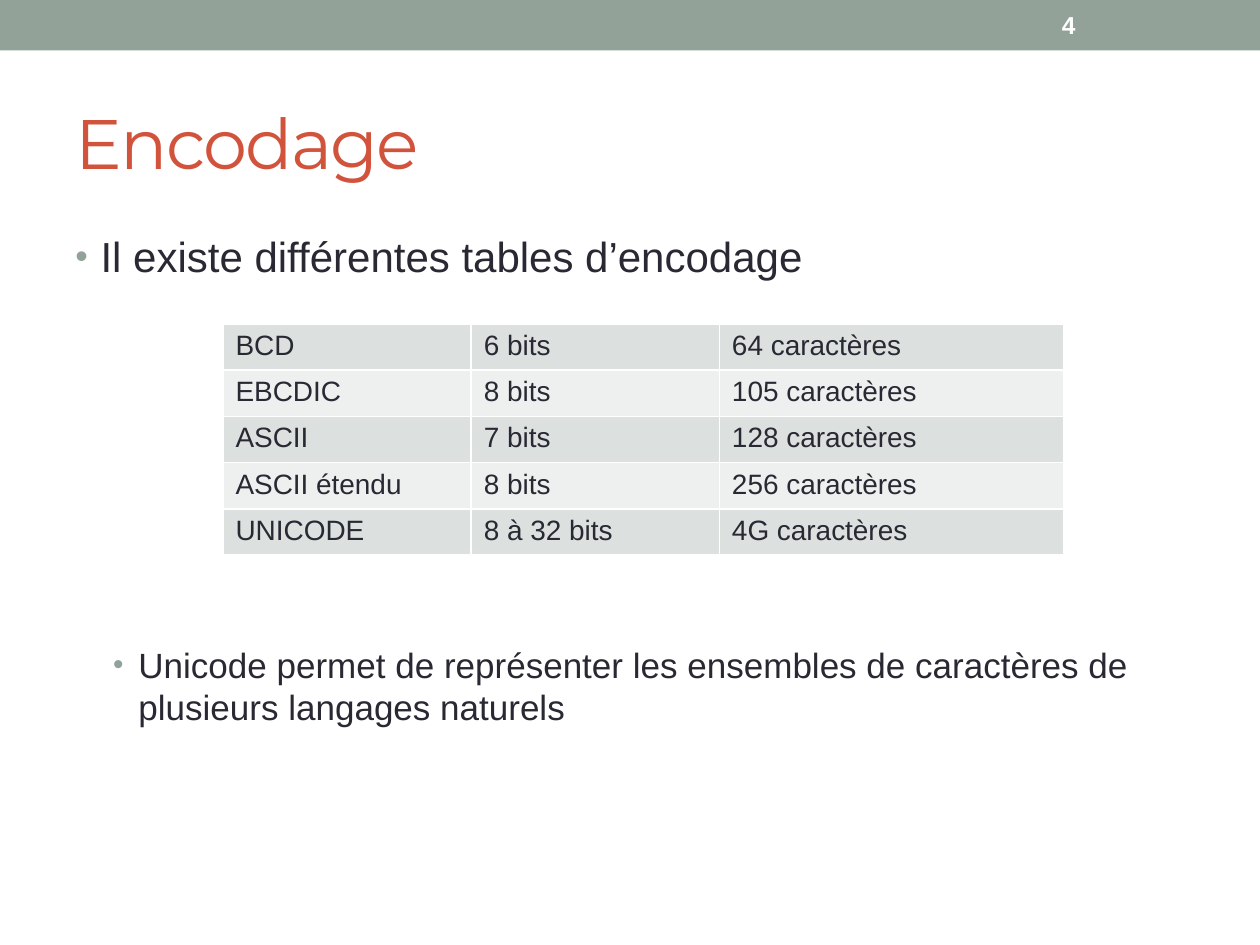
from lxml import etree
from pptx import Presentation
from pptx.dml.color import RGBColor
from pptx.enum.shapes import MSO_SHAPE
from pptx.enum.text import MSO_ANCHOR, PP_ALIGN
from pptx.oxml.ns import qn
from pptx.util import Inches, Pt

RECTANGLE = MSO_SHAPE.RECTANGLE
MIDDLE = MSO_ANCHOR.MIDDLE
LEFT = PP_ALIGN.LEFT

SAGE = RGBColor(0x93, 0xA2, 0x99)
RUST = RGBColor(0xD2, 0x53, 0x3C)
INK = RGBColor(0x29, 0x29, 0x34)
WHITE = RGBColor(0xFF, 0xFF, 0xFF)
BANDS = (RGBColor(0xDC, 0xE0, 0xDE), RGBColor(0xEE, 0xF0, 0xEF))

COLUMN_WIDTHS = (1.97, 1.97, 2.73)
ENCODINGS = (
    ("BCD", "6 bits", "64 caractères"),
    ("EBCDIC", "8 bits", "105 caractères"),
    ("ASCII", "7 bits", "128 caractères"),
    ("ASCII étendu", "8 bits", "256 caractères"),
    ("UNICODE", "8 à 32 bits", "4G caractères"),
)
POINTS = (
    ("Il existe différentes tables d’encodage", 24, 0.2, 0),
    ("Unicode permet de représenter les ensembles de caractères de "
     "plusieurs langages naturels", 20, 0.5, 207),
)


def style_font(para, size, color, name="Arial", bold=False):
    para.font.size = Pt(size)
    para.font.name = name
    para.font.color.rgb = color
    para.font.bold = bold


def add_bullet(para, indent):
    props = para._p.get_or_add_pPr()
    props.set("marL", str(Inches(indent)))
    props.set("indent", str(Inches(-0.2)))
    color = etree.SubElement(props, qn("a:buClr"))
    etree.SubElement(color, qn("a:srgbClr"), val=str(SAGE))
    etree.SubElement(props, qn("a:buSzPct"), val="85000")
    etree.SubElement(props, qn("a:buFont"), typeface="Arial")
    etree.SubElement(props, qn("a:buChar"), char="•")


def add_borders(cell):
    props = cell._tc.get_or_add_tcPr()
    for side in ("a:lnL", "a:lnR", "a:lnT", "a:lnB"):
        line = etree.SubElement(props, qn(side), w=str(Pt(1)))
        fill = etree.SubElement(line, qn("a:solidFill"))
        etree.SubElement(fill, qn("a:srgbClr"), val=str(WHITE))


def add_header(page, left, top, width, height):
    band = page.shapes.add_shape(RECTANGLE, left, top, width, height)
    band.shadow.inherit = False
    band.fill.solid()
    band.fill.fore_color.rgb = SAGE
    band.line.fill.background()
    box = page.shapes.add_textbox(
        left + Inches(8.33), top + Inches(0.02), Inches(1.17), height - Inches(0.04))
    frame = box.text_frame
    frame.word_wrap = True
    frame.vertical_anchor = MIDDLE
    para = frame.paragraphs[0]
    para.text = "4"
    style_font(para, 14, WHITE, bold=True)


def place_title(page, left, top, width, height):
    title = page.shapes.title
    title.left, title.top, title.width, title.height = left, top, width, height
    frame = title.text_frame
    frame.vertical_anchor = MIDDLE
    para = frame.paragraphs[0]
    para.alignment = LEFT
    span = para.add_run()
    span.text = "Encodage"
    span._r.get_or_add_rPr().set("spc", "-100")
    style_font(para, 40, RUST, "Montserrat")


def add_points(page, left, top, width, height):
    frame = page.shapes.add_textbox(left, top, width, height).text_frame
    frame.word_wrap = True
    frame.margin_top = Inches(0.08)
    for index, (text, size, indent, space) in enumerate(POINTS):
        para = frame.add_paragraph() if index else frame.paragraphs[0]
        para.text = text
        para.level = index
        para.space_before = Pt(space)
        style_font(para, size, INK)
        add_bullet(para, indent)


def add_encoding_table(page, left, top, width, height):
    table = page.shapes.add_table(
        len(ENCODINGS), len(COLUMN_WIDTHS), left, top, width, height).table
    table.first_row = False
    table.horz_banding = False
    for column, column_width in zip(table.columns, COLUMN_WIDTHS):
        column.width = Inches(column_width)
    for row, texts in enumerate(ENCODINGS):
        for column, text in enumerate(texts):
            cell = table.cell(row, column)
            add_borders(cell)
            cell.fill.solid()
            cell.fill.fore_color.rgb = BANDS[row % 2]
            cell.text = text
            style_font(cell.text_frame.paragraphs[0], 16, INK)


def main():
    deck = Presentation()
    deck.slide_width, deck.slide_height = Inches(10), Inches(7.5)
    page = deck.slides.add_slide(deck.slide_layouts[5])
    add_header(page, 0, 0, deck.slide_width, Inches(0.4))
    place_title(page, Inches(0.5), Inches(0.58), Inches(9), Inches(1.08))
    add_points(page, Inches(0.5), Inches(1.75), Inches(9.38), Inches(5.54))
    add_encoding_table(
        page, Inches(1.77), Inches(2.57), Inches(sum(COLUMN_WIDTHS)), Inches(1.83))
    deck.save("out.pptx")


if __name__ == "__main__":
    main()
